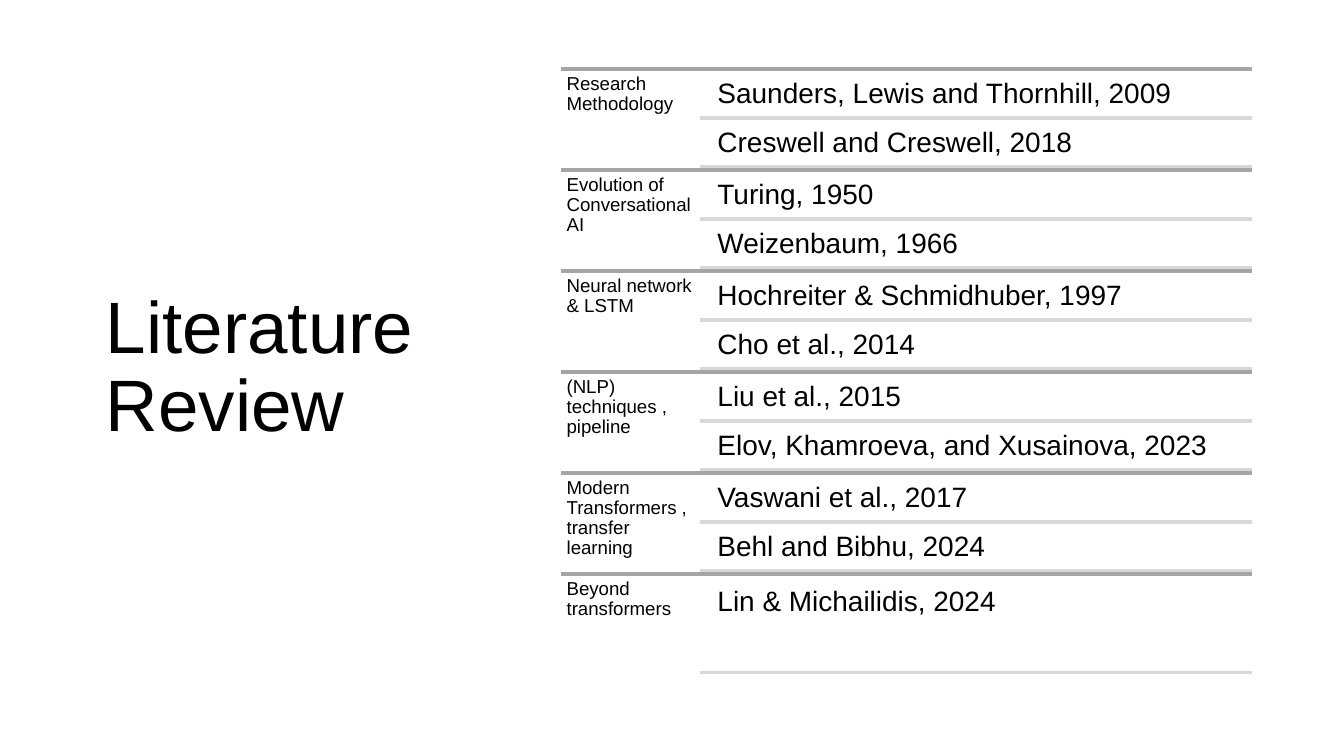
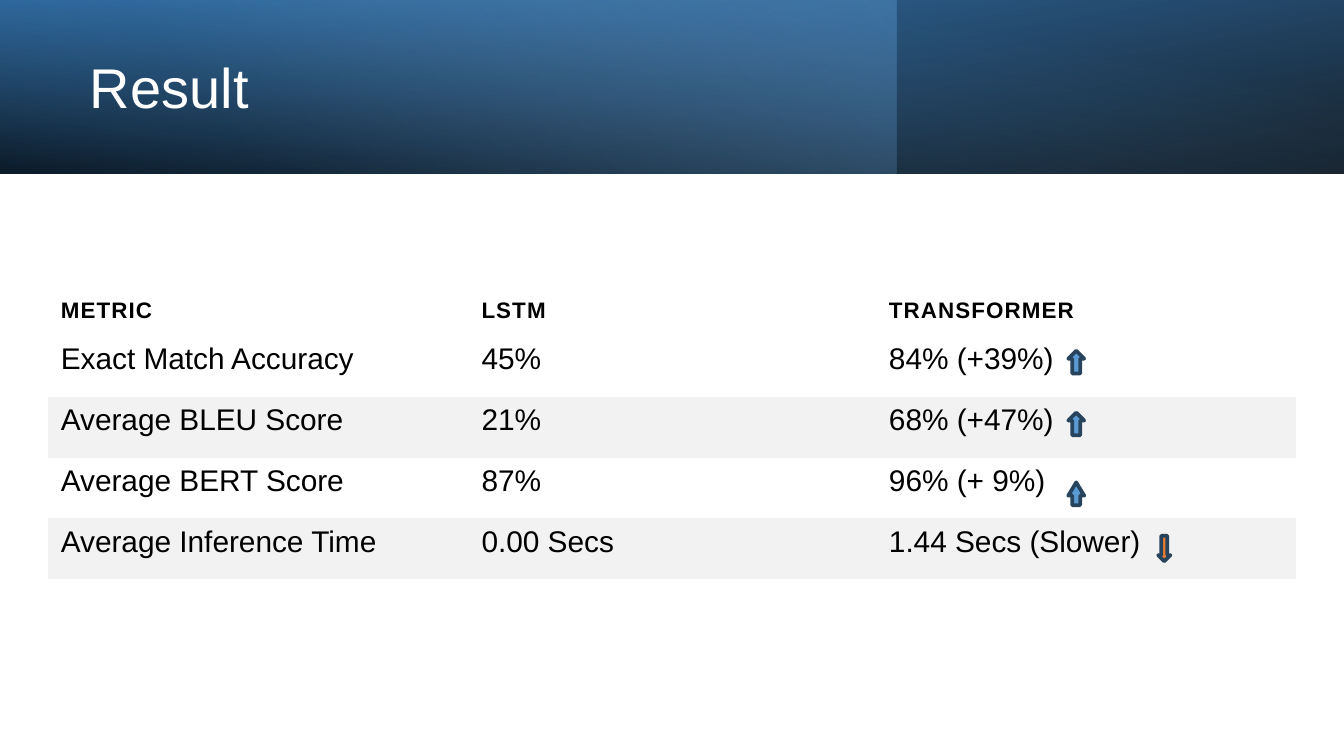
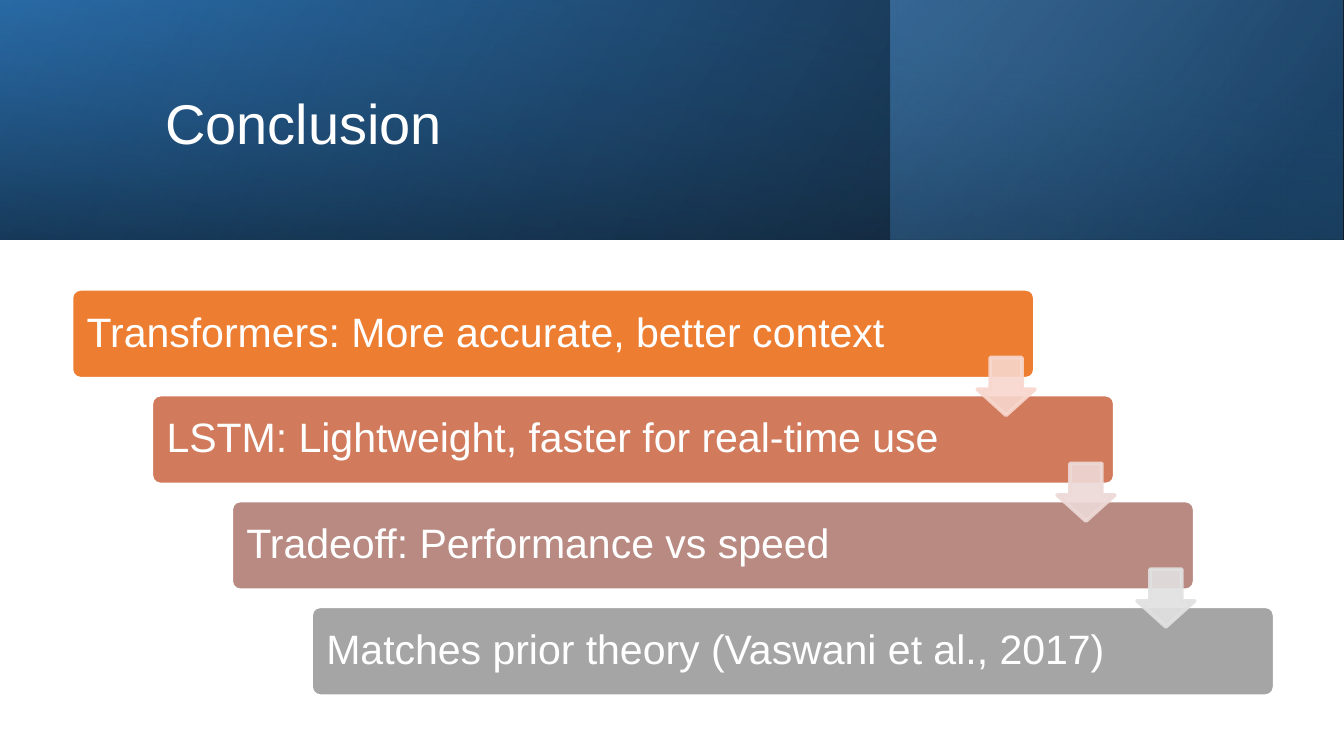
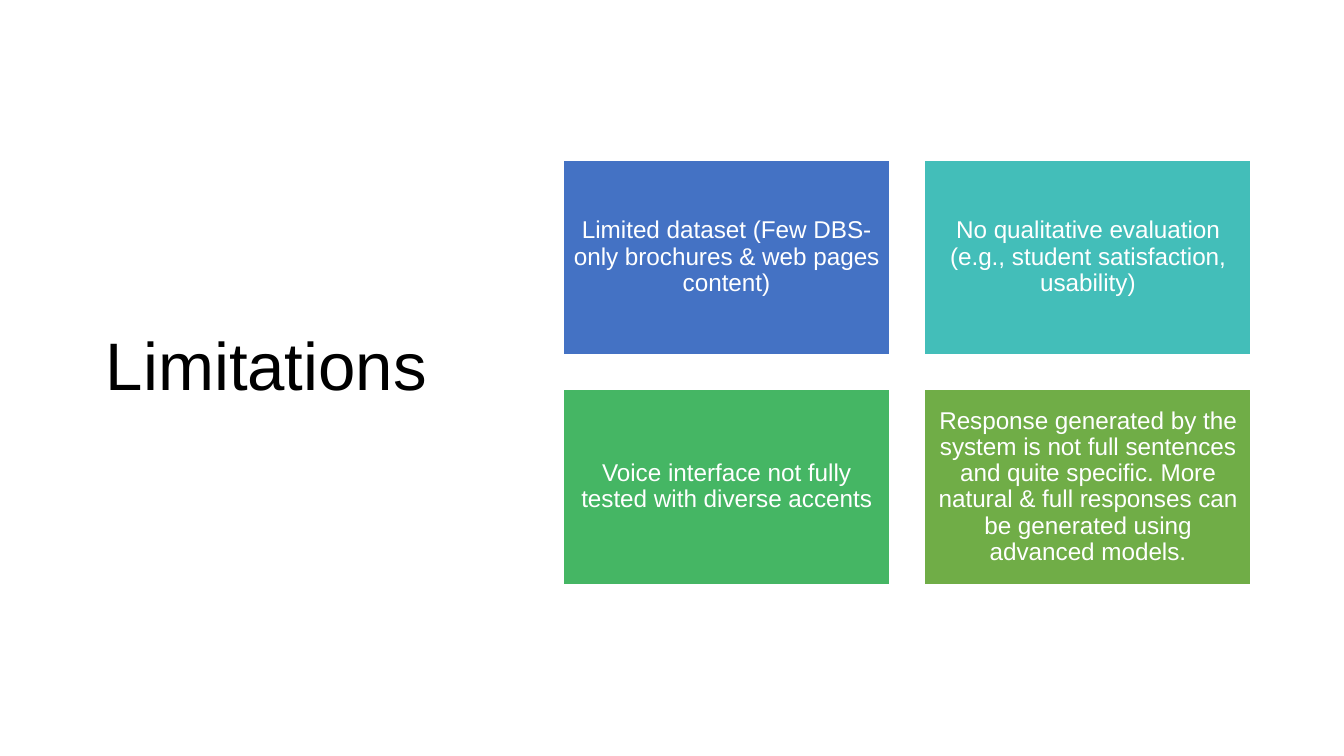
import pptx
import pptx.dml.color
import pptx.enum.shapes
import pptx.enum.text
import pptx.oxml
import pptx.oxml.ns
import pptx.util
from lxml import etree

Cm = pptx.util.Cm
Pt = pptx.util.Pt
RGBColor = pptx.dml.color.RGBColor
SHAPE = pptx.enum.shapes.MSO_SHAPE
ANCHOR = pptx.enum.text.MSO_ANCHOR
ALIGN = pptx.enum.text.PP_ALIGN
qn = pptx.oxml.ns.qn

# Shared style
FONT = "Arial"
BLACK = RGBColor(0x00, 0x00, 0x00)
WHITE = RGBColor(0xFF, 0xFF, 0xFF)
GRAY = RGBColor(0xA5, 0xA5, 0xA5)
LIGHT_GRAY = RGBColor(0xD8, 0xD8, 0xD8)
ROW_GRAY = RGBColor(0xF2, 0xF2, 0xF2)
ORANGE = RGBColor(0xED, 0x7D, 0x31)
TERRACOTTA = RGBColor(0xD1, 0x7B, 0x5C)
DUSTY_ROSE = RGBColor(0xB9, 0x8A, 0x82)
PALE_ORANGE = RGBColor(0xF8, 0xD7, 0xCE)
PALE_ROSE = RGBColor(0xED, 0xD9, 0xD7)
PALE_GRAY = RGBColor(0xE1, 0xE1, 0xE1)
LIGHT_BLUE = RGBColor(0x5B, 0x9B, 0xD5)
PALE_BLUE = RGBColor(0x9D, 0xC3, 0xE6)
MID_BLUE = RGBColor(0x2E, 0x75, 0xB6)
DARK_BLUE = RGBColor(0x1F, 0x4E, 0x79)
OUTLINE_BLUE = RGBColor(0x28, 0x44, 0x5D)
ROYAL_BLUE = RGBColor(0x44, 0x72, 0xC4)
TEAL = RGBColor(0x43, 0xBE, 0xB9)
GREEN = RGBColor(0x45, 0xB6, 0x64)
OLIVE = RGBColor(0x70, 0xAD, 0x47)
NO_GRID_STYLE = "{2D5ABB26-0587-4C30-8999-92F81FD0307C}"


def write_text(shape, text, size, color, margin=0.25, anchor=ANCHOR.MIDDLE, alignment=ALIGN.LEFT):
    frame = shape.text_frame
    frame_format = {"word_wrap": True, "vertical_anchor": anchor,
                    "auto_size": pptx.enum.text.MSO_AUTO_SIZE.NONE}
    for side in ("left", "top", "right", "bottom"):
        frame_format["margin_" + side] = Cm(margin)
    for name, value in frame_format.items():
        setattr(frame, name, value)
    frame.text = text
    paragraph = frame.paragraphs[0]
    paragraph.alignment = alignment
    paragraph.line_spacing = 0.9
    paragraph.font.name = FONT
    paragraph.font.size = Pt(size)
    paragraph.font.color.rgb = color


def add_filled_shape(slide, kind, box, fill, line=WHITE, adjustments=()):
    shape = slide.shapes.add_shape(kind, *map(Cm, box))
    shape.shadow.inherit = False
    for index, value in enumerate(adjustments):
        shape.adjustments[index] = value
    shape.fill.solid()
    shape.fill.fore_color.rgb = fill
    shape.line.color.rgb = line
    shape.line.width = Pt(2)
    return shape


presentation = pptx.Presentation()
presentation.slide_width = Cm(25.4)
presentation.slide_height = Cm(14.29)

# Header bands: box, rotation, flipped, gradient angle, stops (position, colour, opacity)
result_bands = [
    ((0, 0, 25.4, 3.28), 180, True, 100, [(0, BLACK, 96), (100, MID_BLUE, 100)]),
    ((0, 0, 16.94, 3.28), 0, False, 140, [(0, LIGHT_BLUE, 41), (74, PALE_BLUE, 0)]),
    ((0, 0, 25.4, 3.28), 0, True, 260, [(0, BLACK, 63), (78, LIGHT_BLUE, 15)]),
]
conclusion_bands = [
    ((0, 0, 25.4, 4.52), 0, True, 330, [(0, BLACK, 96), (100, MID_BLUE, 100)]),
    ((16.84, 0, 8.53, 4.52), 0, True, 320, [(19, DARK_BLUE, 68), (100, LIGHT_BLUE, 48)]),
    ((10.44, -10.44, 4.52, 25.4), 270, True, 350, [(23, MID_BLUE, 16), (99, BLACK, 45)]),
]
side_title_box = (1.75, 1.17, 7.04, 11.61)
slide_plans = [
    ("Literature Review", 39, BLACK, side_title_box, []),
    ("Result", 30, WHITE, (1.45, 0.51, 14.71, 2.41), result_bands),
    ("Conclusion", 30, WHITE, (2.87, 0.74, 20.24, 3.28), conclusion_bands),
    ("Limitations", 36, BLACK, side_title_box, []),
]

# Slides with bands and titles
slides = []
for title_text, size, color, title_box, bands in slide_plans:
    slide = presentation.slides.add_slide(presentation.slide_layouts[5])
    slides.append(slide)
    for box, rotation, flipped, angle, stops in bands:
        band = add_filled_shape(slide, SHAPE.RECTANGLE, box, WHITE)
        band.line.fill.background()
        band.rotation = rotation
        properties = band.element.spPr
        if flipped:
            properties.find(qn("a:xfrm")).set("flipH", "1")
        stop_xml = "".join(
            f'<a:gs pos="{position * 1000}"><a:srgbClr val="{stop_color}">'
            f'<a:alpha val="{opacity * 1000}"/></a:srgbClr></a:gs>'
            for position, stop_color, opacity in stops)
        gradient = pptx.oxml.parse_xml(
            f'<a:gradFill {pptx.oxml.ns.nsdecls("a")} rotWithShape="1"><a:gsLst>{stop_xml}</a:gsLst>'
            f'<a:lin ang="{angle * 60000}" scaled="0"/></a:gradFill>')
        properties.replace(properties.find(qn("a:solidFill")), gradient)
    title = slide.shapes.title
    for name, value in zip(("left", "top", "width", "height"), title_box):
        setattr(title, name, Cm(value))
    write_text(title, title_text, size, color)
    title.element.getparent().append(title.element)  # in front of the bands

literature_slide, result_slide, conclusion_slide, limitations_slide = slides

# Literature review: topics with their references
topics = [
    ("Research Methodology", ["Saunders, Lewis and Thornhill, 2009", "Creswell and Creswell, 2018"]),
    ("Evolution of Conversational AI", ["Turing, 1950", "Weizenbaum, 1966"]),
    ("Neural network & LSTM", ["Hochreiter & Schmidhuber, 1997", "Cho et al., 2014"]),
    ("(NLP) techniques , pipeline", ["Liu et al., 2015", "Elov, Khamroeva, and Xusainova, 2023"]),
    ("Modern Transformers , transfer learning", ["Vaswani et al., 2017", "Behl and Bibhu, 2024"]),
    ("Beyond transformers", ["Lin & Michailidis, 2024"]),
]
topic_left, reference_left, list_right = 10.61, 13.22, 23.66
topic_pitch = 1.91
rules = []
for topic_index, (topic, references) in enumerate(topics):
    topic_top = 1.3 + topic_pitch * topic_index
    rules.append((topic_left, topic_top, GRAY))
    # label box, then one box per reference
    boxes = [(topic, 10, 0.1, (topic_left, topic_top, 2.62, topic_pitch))]
    pitch = 1.86 / len(references)
    for index, reference in enumerate(references):
        top = topic_top + pitch * index
        boxes.append((reference, 15, 0.15, (13.41, top + 0.05 * pitch, 10.24, 0.95 * pitch)))
        rules.append((reference_left, top + pitch, LIGHT_GRAY))
    for text, size, margin, box in boxes:
        textbox = literature_slide.shapes.add_textbox(*map(Cm, box))
        write_text(textbox, text, size, BLACK, margin, ANCHOR.TOP)

for left, top, color in rules:
    rule = literature_slide.shapes.add_connector(
        pptx.enum.shapes.MSO_CONNECTOR.STRAIGHT, Cm(left), Cm(top), Cm(list_right), Cm(top))
    rule.line.color.rgb = color
    rule.line.width = Pt(2)
    etree.SubElement(rule.element.spPr, qn("a:effectLst"))

# Result: table of metrics
metric_rows = [
    ("METRIC", "LSTM", "TRANSFORMER"),
    ("Exact Match Accuracy", "45%", "84% (+39%)"),
    ("Average BLEU Score", "21%", "68% (+47%)"),
    ("Average BERT Score", "87%", "96% (+ 9%)"),
    ("Average Inference Time", "0.00 Secs", "1.44 Secs (Slower)"),
    ("", "", ""),
]
column_widths = (7.95, 7.7, 7.95)
row_heights = (1.12, 1.15, 1.15, 1.15, 1.15, 1.27)
table = result_slide.shapes.add_table(
    len(metric_rows), len(column_widths), Cm(0.9), Cm(5.23),
    Cm(sum(column_widths)), Cm(sum(row_heights))).table
table.first_row = table.horz_banding = False
table._tbl.tblPr.find(qn("a:tableStyleId")).text = NO_GRID_STYLE
for column, width in zip(table.columns, column_widths):
    column.width = Cm(width)
for row_index, (row, height, texts) in enumerate(zip(table.rows, row_heights, metric_rows)):
    row.height = Cm(height)
    is_header = row_index == 0
    for cell, text in zip(row.cells, texts):
        cell_format = {
            "margin_left": Cm(0.25), "margin_right": Cm(0.25), "margin_bottom": Cm(0.25),
            "margin_top": Cm(0.25 if is_header else 0.13),
            "vertical_anchor": ANCHOR.BOTTOM if is_header else ANCHOR.TOP,
        }
        for name, value in cell_format.items():
            setattr(cell, name, value)
        if row_index in (2, 4):
            cell.fill.solid()
            cell.fill.fore_color.rgb = ROW_GRAY
        else:
            cell.fill.background()
        if text:
            run = cell.text_frame.paragraphs[0].add_run()
            run.text = text
            run.font.name = FONT
            run.font.size = Pt(12 if is_header else 16)
            run.font.bold = is_header
            run.font.color.rgb = BLACK
            if is_header:
                run._r.get_or_add_rPr().set("spc", "60")

# Result: trend arrows
for top, adjustments in ((6.63, ()), (7.8, ()), (9.12, (0.5, 0.83))):
    add_filled_shape(result_slide, SHAPE.UP_ARROW, (20.19, top, 0.3, 0.43),
                     LIGHT_BLUE, OUTLINE_BLUE, adjustments)
add_filled_shape(result_slide, SHAPE.DOWN_ARROW, (21.89, 10.13, 0.23, 0.48), ORANGE, OUTLINE_BLUE)

# Conclusion: staircase of bars, joined by arrows
conclusions = [
    ("Transformers: More accurate, better context", ORANGE),
    ("LSTM: Lightweight, faster for real-time use", TERRACOTTA),
    ("Tradeoff: Performance vs speed", DUSTY_ROSE),
    ("Matches prior theory (Vaswani et al., 2017)", GRAY),
]
stair_left, stair_top, step_x, step_y = 1.35, 5.46, 1.51, 2.0
for index, (text, color) in enumerate(conclusions):
    box = (stair_left + step_x * index, stair_top + step_y * index, 18.21, 1.7)
    bar = add_filled_shape(conclusion_slide, SHAPE.ROUNDED_RECTANGLE, box, color, adjustments=(0.1,))
    write_text(bar, text, 22, WHITE, 0.24)
for index, color in enumerate((PALE_ORANGE, PALE_ROSE, PALE_GRAY)):
    box = (stair_left + 17.12 + step_x * index, stair_top + 1.3 + step_y * index, 1.09, 1.09)
    arrow = add_filled_shape(conclusion_slide, SHAPE.DOWN_ARROW, box, color, color, (0.55, 0.45))
    for color_element in arrow.element.spPr.iter(qn("a:srgbClr")):
        etree.SubElement(color_element, qn("a:alpha")).set("val", "90000")

# Limitations: two by two cards
limitations = [
    ("Limited dataset (Few DBS-only brochures & web pages content)", ROYAL_BLUE),
    ("No qualitative evaluation (e.g., student satisfaction, usability)", TEAL),
    ("Voice interface not fully tested with diverse accents", GREEN),
    ("Response generated by the system is not full sentences and quite specific. "
     "More natural & full responses can be generated using advanced models.", OLIVE),
]
for index, (text, color) in enumerate(limitations):
    row, column = divmod(index, 2)
    box = (10.62 + 6.83 * column, 3.0 + 4.34 * row, 6.22, 3.73)
    card = add_filled_shape(limitations_slide, SHAPE.RECTANGLE, box, color)
    write_text(card, text, 13, WHITE, 0.13, alignment=ALIGN.CENTER)

presentation.save("out.pptx")
